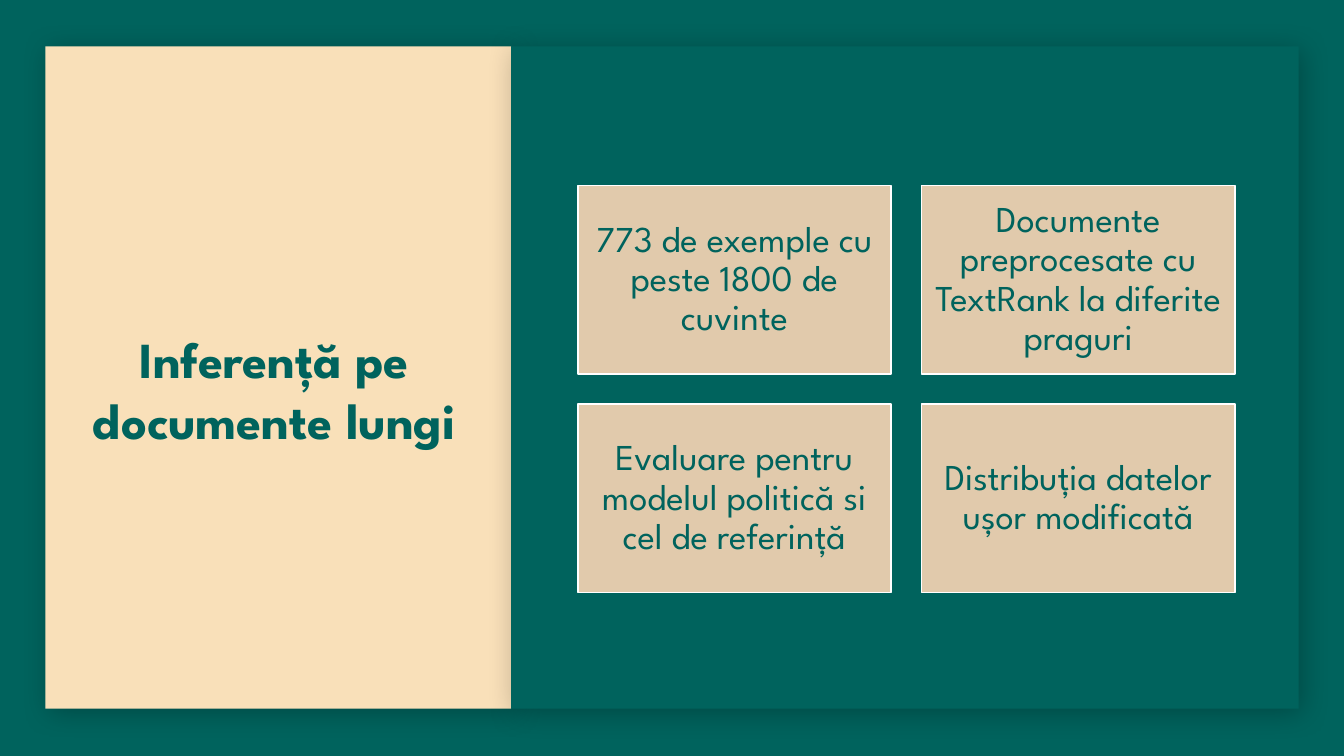
"""Build the slide on inference over long documents."""
from dataclasses import dataclass
from itertools import product

from lxml.etree import SubElement
from pptx import Presentation
from pptx.dml.color import RGBColor as Rgb
from pptx.enum.shapes import MSO_SHAPE as Shape
from pptx.enum.text import MSO_ANCHOR as Anchor, PP_ALIGN as Align
from pptx.oxml.ns import qn
from pptx.util import Inches, Pt


@dataclass(frozen=True)
class Theme:
    green: Rgb = Rgb.from_string("00635D")
    cream: Rgb = Rgb.from_string("F9E0B9")
    sand: Rgb = Rgb.from_string("E1CAAC")
    white: Rgb = Rgb.from_string("FFFFFF")
    shade: str = "000000"
    font: str = "League Spartan"
    title: int = 36
    body: int = 26


THEME = Theme()
CARDS = (
    "773 de exemple cu peste 1800 de cuvinte",
    "Documente preprocesate cu TextRank la diferite praguri",
    "Evaluare pentru modelul politică si cel de referință",
    "Distribuția datelor ușor modificată",
)


def add_rect(slide, x, y, w, h, fill, line=None):
    rect = slide.shapes.add_shape(
        Shape.RECTANGLE, Inches(x), Inches(y), Inches(w), Inches(h))
    rect.shadow.inherit = False
    rect.fill.solid()
    rect.fill.fore_color.rgb = fill
    if line is None:
        rect.line.fill.background()
    else:
        rect.line.color.rgb = line
        rect.line.width = Pt(1.25)
    return rect


def add_shade(shape, blur=20, dist=4, angle=45, alpha=25):
    effects = shape._element.spPr.find(qn("a:effectLst"))
    outer = SubElement(
        effects, qn("a:outerShdw"), blurRad=str(Pt(blur)),
        dist=str(Pt(dist)), dir=str(angle * 60000), rotWithShape="0")
    color = SubElement(outer, qn("a:srgbClr"), val=THEME.shade)
    SubElement(color, qn("a:alpha"), val=str(alpha * 1000))


def set_text(shape, text, size, bold=False, inset=0.1, space=1.0):
    frame = shape.text_frame
    frame.word_wrap = True
    frame.vertical_anchor = Anchor.MIDDLE
    frame.margin_left = frame.margin_right = Inches(inset)
    frame.margin_top = frame.margin_bottom = Inches(inset)
    para = frame.paragraphs[0]
    para.alignment = Align.CENTER
    para.line_spacing = space
    run = para.add_run()
    run.text = text
    run.font.name = THEME.font
    run.font.size = Pt(size)
    run.font.bold = bold
    run.font.color.rgb = THEME.green


def add_panel(slide, x, w, fill):
    add_shade(add_rect(slide, x, 0.46, w, 6.57, fill))


def add_title(slide, text):
    box = slide.shapes.add_textbox(
        Inches(0.54), Inches(2.66), Inches(4.36), Inches(2.4))
    set_text(box, text, THEME.title, bold=True)


def add_cards(slide, texts, x=5.73, y=1.84, w=3.11, h=1.87, gap=0.3):
    for (row, col), text in zip(product(range(2), repeat=2), texts):
        card = add_rect(slide, x + col * (w + gap), y + row * (h + gap),
                        w, h, THEME.sand, THEME.white)
        set_text(card, text, THEME.body, inset=0.11, space=0.9)


def main():
    deck = Presentation()
    deck.slide_width, deck.slide_height = Inches(13.33), Inches(7.5)
    slide = deck.slides.add_slide(deck.slide_layouts[6])
    back = slide.background.fill
    back.solid()
    back.fore_color.rgb = THEME.green
    add_panel(slide, 0.45, 4.62, THEME.cream)
    add_panel(slide, 5.07, 7.81, THEME.green)
    add_title(slide, "Inferență pe documente lungi")
    add_cards(slide, CARDS)
    deck.save("out.pptx")


if __name__ == "__main__":
    main()
